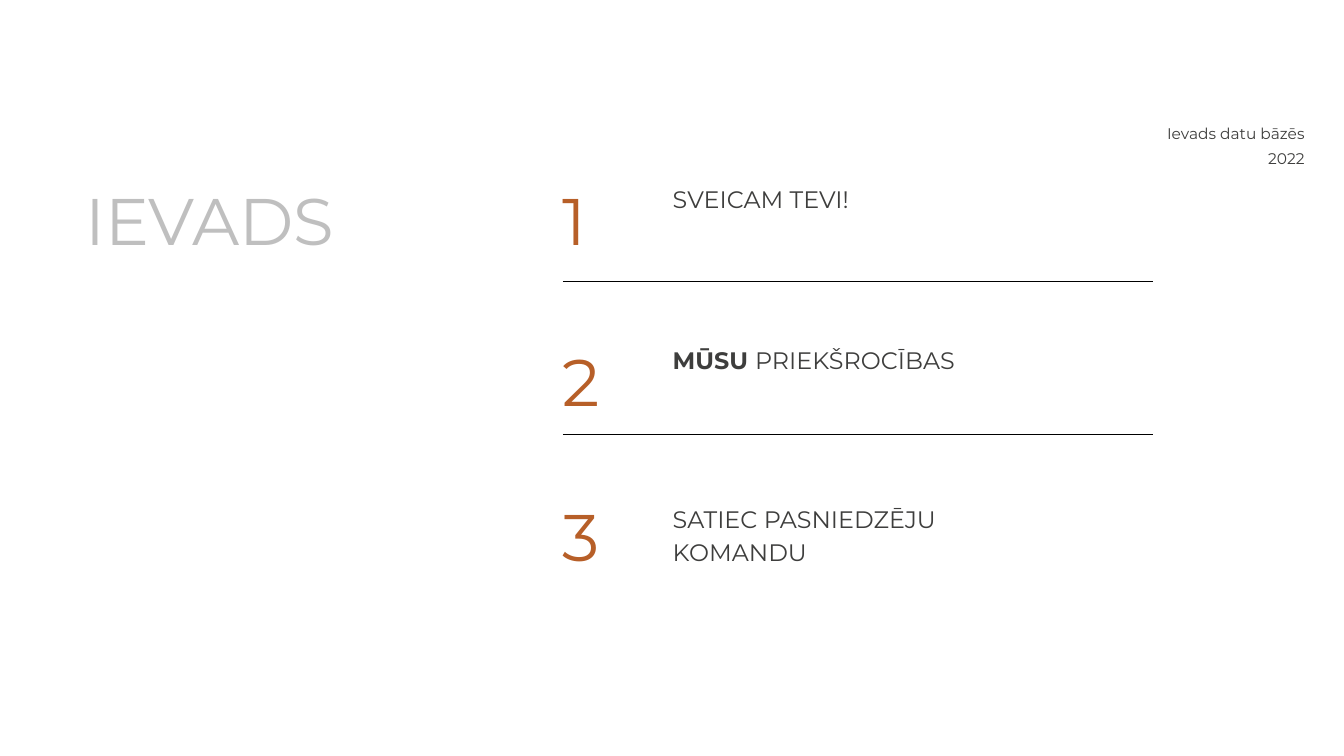
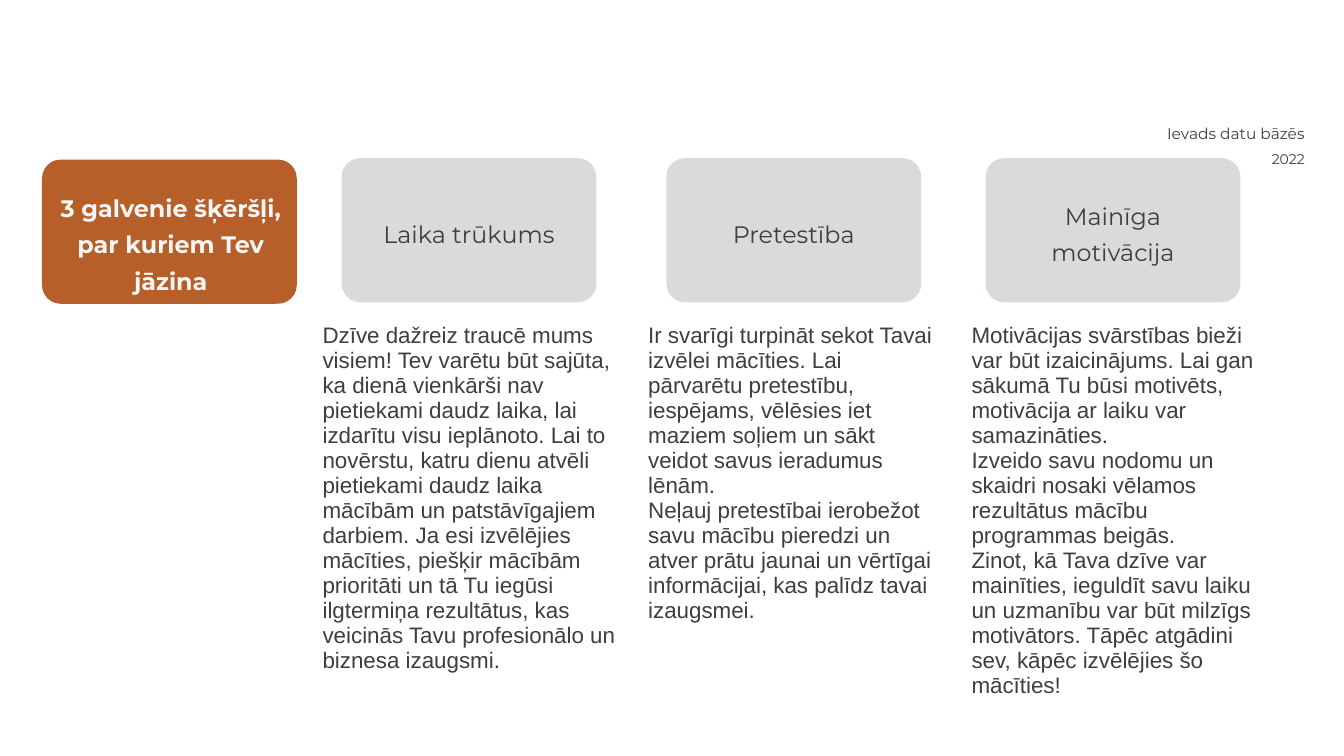
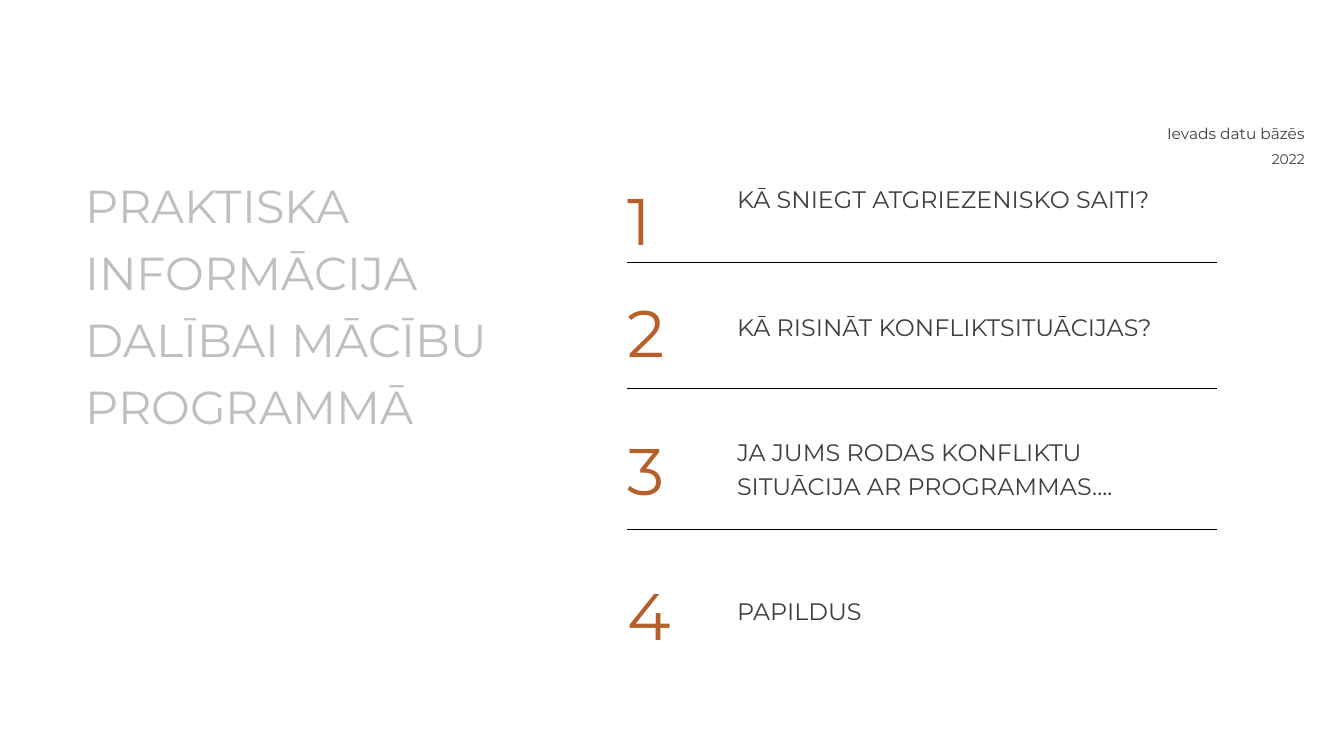
from lxml.etree import SubElement
from pptx import Presentation
from pptx.dml.color import RGBColor
from pptx.enum.shapes import MSO_CONNECTOR, MSO_SHAPE
from pptx.enum.text import MSO_ANCHOR, MSO_AUTO_SIZE, PP_ALIGN
from pptx.oxml.ns import qn
from pptx.util import Pt

ACCENT = "B75F28"
DARK = "3E3E3D"
LIGHT = "F6F6F6"
PALE = "DBDAD9"
TITLE_GREY = "BFBFBF"
RULE = "000000"
HEADING_FONT = "Montserrat"
BODY_FONT = "Arial"


def color(value):
    return RGBColor.from_string(value)


def place(shape, box):
    shape.left, shape.top, shape.width, shape.height = [Pt(value) for value in box]


def format_paragraph(paragraph, size, fill=DARK, spacing=1.18, align=PP_ALIGN.LEFT,
                     bold=False, font=HEADING_FONT):
    paragraph.alignment = align
    paragraph.line_spacing = spacing
    paragraph.space_before = Pt(0)
    paragraph.font.name = font
    paragraph.font.size = Pt(size)
    paragraph.font.bold = bold
    paragraph.font.color.rgb = color(fill)


def write(shape, text, size, anchor=MSO_ANCHOR.TOP, inset=0, **style):
    frame = shape.text_frame
    frame.word_wrap = True
    frame.auto_size = MSO_AUTO_SIZE.NONE
    frame.vertical_anchor = anchor
    frame.margin_left = frame.margin_right = Pt(inset)
    frame.margin_top = frame.margin_bottom = 0
    frame.text = text
    for paragraph in frame.paragraphs:
        format_paragraph(paragraph, size, **style)
    return frame


def add_text(slide, box, text, size, **style):
    left, top, width, height = [Pt(value) for value in box]
    return write(slide.shapes.add_textbox(left, top, width, height), text, size, **style)


def add_rule(slide, left, top, width):
    rule = slide.shapes.add_connector(MSO_CONNECTOR.STRAIGHT, Pt(left), Pt(top),
                                      Pt(left + width), Pt(top))
    rule.line.color.rgb = color(RULE)
    rule.line.width = Pt(0.75)
    SubElement(rule.element.spPr, qn("a:effectLst"))


def add_card(slide, box, fill):
    left, top, width, height = [Pt(value) for value in box]
    card = slide.shapes.add_shape(MSO_SHAPE.ROUNDED_RECTANGLE, left, top, width, height)
    card.adjustments[0] = 0.13
    card.shadow.inherit = False
    card.fill.solid()
    card.fill.fore_color.rgb = color(fill)
    card.line.fill.background()
    return card


def add_course_header(slide, year_size, year_spacing):
    frame = add_text(slide, (659, 84, 273, 36), "Ievads datu bāzēs\n2022", 11,
                     spacing=1.36, align=PP_ALIGN.RIGHT)
    format_paragraph(frame.paragraphs[1], year_size, spacing=year_spacing,
                     align=PP_ALIGN.RIGHT)


def add_title(slide, box, text, size, **style):
    title = slide.shapes.title
    place(title, box)
    write(title, text, size, **style)
    return title


def add_agenda(slide, box, items, rules):
    left, top, text_width = box
    for number, (number_offset, text_offset, lead, text) in enumerate(items, 1):
        add_text(slide, (left, top + number_offset, 72, 57), str(number), 47,
                 fill=ACCENT, spacing=1.19)
        frame = add_text(slide, (left + 78.5, top + text_offset, text_width, 40), lead, 17)
        paragraph = frame.paragraphs[0]
        for run in paragraph.runs:
            run.font.bold = True
        paragraph.add_run().text = text
    for offset in rules:
        add_rule(slide, left, top + offset, 421.5)


def add_obstacle(slide, box, heading, text, text_offset, text_width):
    left, top, width, height = box
    card = add_card(slide, box, PALE)
    write(card, heading, 17, anchor=MSO_ANCHOR.MIDDLE, inset=18, spacing=1.27,
          align=PP_ALIGN.CENTER)
    add_text(slide, (left + text_offset, top + 118, text_width, 290), text, 16,
             spacing=0.93, font=BODY_FONT)


def build_agenda_slide(slide, title_box, title, title_size, title_spacing, agenda_box,
                       items, rules, year_size, year_spacing):
    add_title(slide, title_box, title, title_size, fill=TITLE_GREY, spacing=title_spacing)
    add_agenda(slide, agenda_box, items, rules)
    add_course_header(slide, year_size, year_spacing)


def build_obstacles_slide(slide, obstacles):
    title_card = add_card(slide, (30, 114, 182, 103), ACCENT)
    title = add_title(slide, (30, 133, 184, 74), "3 galvenie šķēršļi, par kuriem Tev jāzina",
                      17, fill=LIGHT, spacing=1.27, align=PP_ALIGN.CENTER, bold=True)
    title.element.addprevious(title_card.element)
    for left, heading, text, text_offset, text_width in obstacles:
        add_obstacle(slide, (left, 113, 182, 103), heading, text, text_offset, text_width)
    add_course_header(slide, 10, 1.49)


INTRODUCTION = [
    (0, 10.5, "", "SVEICAM TEVI!"),
    (115.2, 126, "MŪSU ", "PRIEKŠROCĪBAS"),
    (226, 239, "", "SATIEC PASNIEDZĒJU KOMANDU"),
]

OBSTACLES = [
    (244, "Laika trūkums",
     "Dzīve dažreiz traucē mums visiem! Tev varētu būt sajūta, ka dienā vienkārši nav "
     "pietiekami daudz laika, lai izdarītu visu ieplānoto. Lai to novērstu, katru dienu "
     "atvēli pietiekami daudz laika mācībām un patstāvīgajiem darbiem. Ja esi izvēlējies "
     "mācīties, piešķir mācībām prioritāti un tā Tu iegūsi ilgtermiņa rezultātus, kas "
     "veicinās Tavu profesionālo un biznesa izaugsmi.", -13.6, 212),
    (476, "Pretestība",
     "Ir svarīgi turpināt sekot Tavai izvēlei mācīties. Lai pārvarētu pretestību, "
     "iespējams, vēlēsies iet maziem soļiem un sākt veidot savus ieradumus lēnām.\n"
     "Neļauj pretestībai ierobežot savu mācību pieredzi un atver prātu jaunai un "
     "vērtīgai informācijai, kas palīdz tavai izaugsmei.", -13, 208),
    (704, "Mainīga motivācija",
     "Motivācijas svārstības bieži var būt izaicinājums. Lai gan sākumā Tu būsi motivēts, "
     "motivācija ar laiku var samazināties.\n"
     "Izveido savu nodomu un skaidri nosaki vēlamos rezultātus mācību programmas beigās.\n"
     "Zinot, kā Tava dzīve var mainīties, ieguldīt savu laiku un uzmanību var būt milzīgs "
     "motivātors. Tāpēc atgādini sev, kāpēc izvēlējies šo mācīties!", -10, 208),
]

PRACTICAL = [
    (0, 10.5, "", "KĀ SNIEGT ATGRIEZENISKO SAITI?"),
    (80, 102, "", "KĀ RISINĀT KONFLIKTSITUĀCIJAS?"),
    (178.5, 191.5, "", "JA JUMS RODAS KONFLIKTU SITUĀCIJA AR PROGRAMMAS...."),
    (282, 305, "", "PAPILDUS"),
]


def main():
    presentation = Presentation()
    presentation.slide_width = Pt(960)
    presentation.slide_height = Pt(540)
    layout = presentation.slide_layouts[5]
    introduction, obstacles, practical = [presentation.slides.add_slide(layout)
                                          for _ in range(3)]
    build_agenda_slide(introduction, (61, 117.5, 223, 57), "IEVADS", 47, 1.19,
                       (402, 117.5, 234), INTRODUCTION, (83.5, 193), 11, 1.36)
    build_obstacles_slide(obstacles, OBSTACLES)
    build_agenda_slide(practical, (61, 118, 313, 195),
                       "PRAKTISKA INFORMĀCIJA DALĪBAI MĀCĪBU PROGRAMMĀ", 33, 1.21,
                       (448, 117.5, 303), PRACTICAL, (70, 160, 260.5), 10, 1.49)
    presentation.save("out.pptx")


if __name__ == "__main__":
    main()
